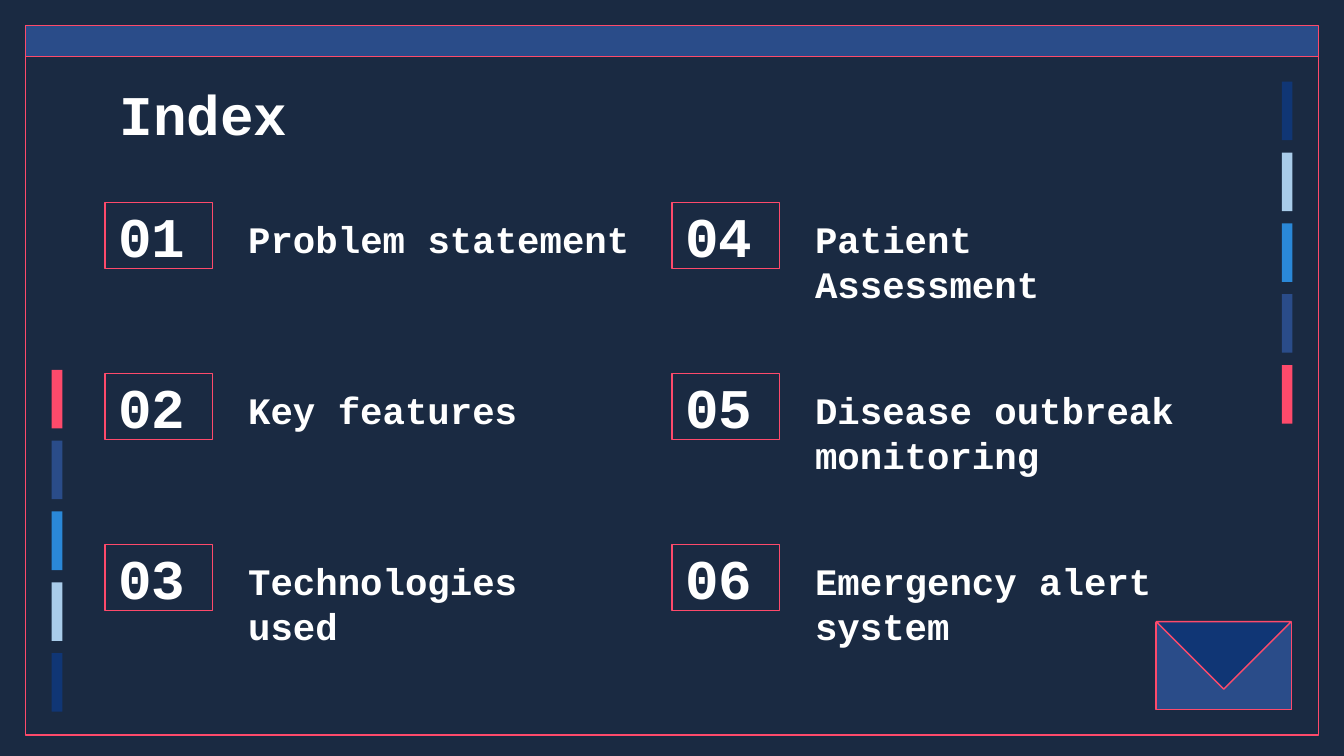
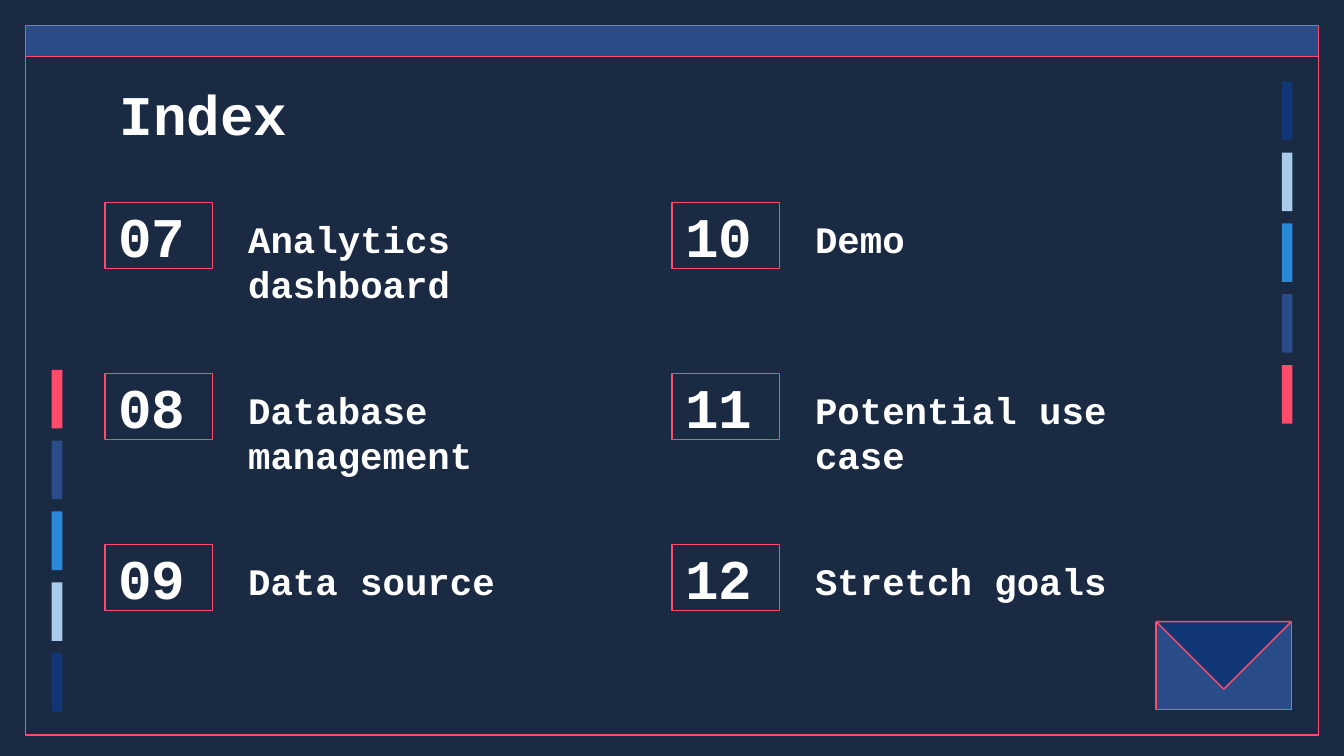
import dataclasses

import pptx
import pptx.dml.color
import pptx.enum.shapes
import pptx.enum.text
import pptx.util

WIDTH = pptx.util.Inches(10)
HEIGHT = pptx.util.Inches(5.625)
GRID = WIDTH / 100
RECTANGLE = pptx.enum.shapes.MSO_SHAPE.RECTANGLE
TRIANGLE = pptx.enum.shapes.MSO_SHAPE.RIGHT_TRIANGLE
TOP = pptx.enum.text.MSO_ANCHOR.TOP
MIDDLE = pptx.enum.text.MSO_ANCHOR.MIDDLE


@dataclasses.dataclass(frozen=True)
class Theme:
    night: str = "1A2A42"
    navy: str = "103675"
    blue: str = "2A4C89"
    bright: str = "2A88D8"
    pale: str = "A9CCEA"
    pink: str = "FE4A6B"
    white: str = "FFFFFF"
    font: str = "Courier New"
    heading: int = 30
    label: int = 20
    outline: float = 0.75
    inset: float = 0.1


THEME = Theme()
BAR_COLOURS = (THEME.pink, THEME.blue, THEME.bright, THEME.pale, THEME.navy)

ITEM_COLUMNS = (7.82, 50)
ITEM_TOP, ITEM_PITCH, ITEMS_PER_COLUMN = 15.08, 12.72, 3
LABEL_OFFSET, LABEL_WIDTH, WIDE_LABEL = 9.66, 28.7, 30.9

INDEX_PAGES = (
    ("Problem statement", "Key features", "Technologies used",
     "Patient Assessment", "Disease outbreak monitoring", "Emergency alert system"),
    ("Analytics dashboard", "Database management", "Data source",
     "Demo", "Potential use case", "Stretch goals"),
)


def colour(code):
    return pptx.dml.color.RGBColor.from_string(code)


def area(left, top, width, height):
    return [round(length * GRID) for length in (left, top, width, height)]


def add_block(page, kind, place, fill, outlined=True):
    block = page.shapes.add_shape(kind, *area(*place))
    block.shadow.inherit = False
    block.fill.solid()
    block.fill.fore_color.rgb = colour(fill)
    if outlined:
        block.line.color.rgb = colour(THEME.pink)
        block.line.width = pptx.util.Pt(THEME.outline)
    else:
        block.line.fill.background()
    return block


def write(box, text, size, anchor=TOP):
    frame = box.text_frame
    frame.word_wrap = True
    frame.auto_size = pptx.enum.text.MSO_AUTO_SIZE.NONE
    frame.vertical_anchor = anchor
    inset = pptx.util.Inches(THEME.inset)
    frame.margin_left = frame.margin_right = inset
    frame.margin_top = frame.margin_bottom = inset
    para = frame.paragraphs[0]
    para.alignment = pptx.enum.text.PP_ALIGN.LEFT
    span = para.add_run()
    span.text = text
    span.font.name = THEME.font
    span.font.size = pptx.util.Pt(size)
    span.font.bold = True
    span.font.color.rgb = colour(THEME.white)


def add_bars(page, left, top, colours):
    for row, fill in enumerate(colours):
        add_block(page, RECTANGLE, (left, top + row * 5.27, 0.8, 4.36), fill, outlined=False)


def add_window(page):
    add_block(page, RECTANGLE, (1.9, 3.8, 96.2, 50.9), THEME.night)
    add_block(page, RECTANGLE, (1.9, 1.9, 96.2, 2.3), THEME.blue)
    add_bars(page, 95.37, 6.08, reversed(BAR_COLOURS))
    add_bars(page, 3.84, 27.52, BAR_COLOURS)


def add_title(page, text):
    title = page.shapes.title
    page.shapes.element.append(title.element)
    title.left, title.top, title.width, title.height = area(7.9, 4.9, 84.3, 6.3)
    write(title, text, THEME.heading)


def add_item(page, left, top, number, text, label_width):
    badge = add_block(page, RECTANGLE, (left, top, 8, 4.9), THEME.night)
    write(badge, f"{number:02d}", THEME.heading, MIDDLE)
    label = page.shapes.add_textbox(*area(left + LABEL_OFFSET, top, label_width, 8.5))
    write(label, text, THEME.label)


def add_items(page, first_number, labels):
    for place, text in enumerate(labels):
        column, row = divmod(place, ITEMS_PER_COLUMN)
        top = ITEM_TOP + row * ITEM_PITCH
        label_width = WIDE_LABEL if place == 0 else LABEL_WIDTH
        add_item(page, ITEM_COLUMNS[column], top, first_number + place, text, label_width)


def add_envelope(page):
    add_block(page, RECTANGLE, (86, 46.3, 10.1, 6.5), THEME.blue)
    flap = add_block(page, TRIANGLE, (87.5, 42.7, 7.1, 7.1), THEME.navy)
    flap.rotation = 315


def add_index_page(deck, layout, first_number, labels):
    page = deck.slides.add_slide(layout)
    page.background.fill.solid()
    page.background.fill.fore_color.rgb = colour(THEME.night)
    add_window(page)
    add_title(page, "Index")
    add_items(page, first_number, labels)
    add_envelope(page)


def main():
    deck = pptx.Presentation()
    deck.slide_width, deck.slide_height = WIDTH, HEIGHT
    title_only = deck.slide_layouts.get_by_name("Title Only")
    first_number = 1
    for labels in INDEX_PAGES:
        add_index_page(deck, title_only, first_number, labels)
        first_number += len(labels)
    deck.save("out.pptx")


if __name__ == "__main__":
    main()
